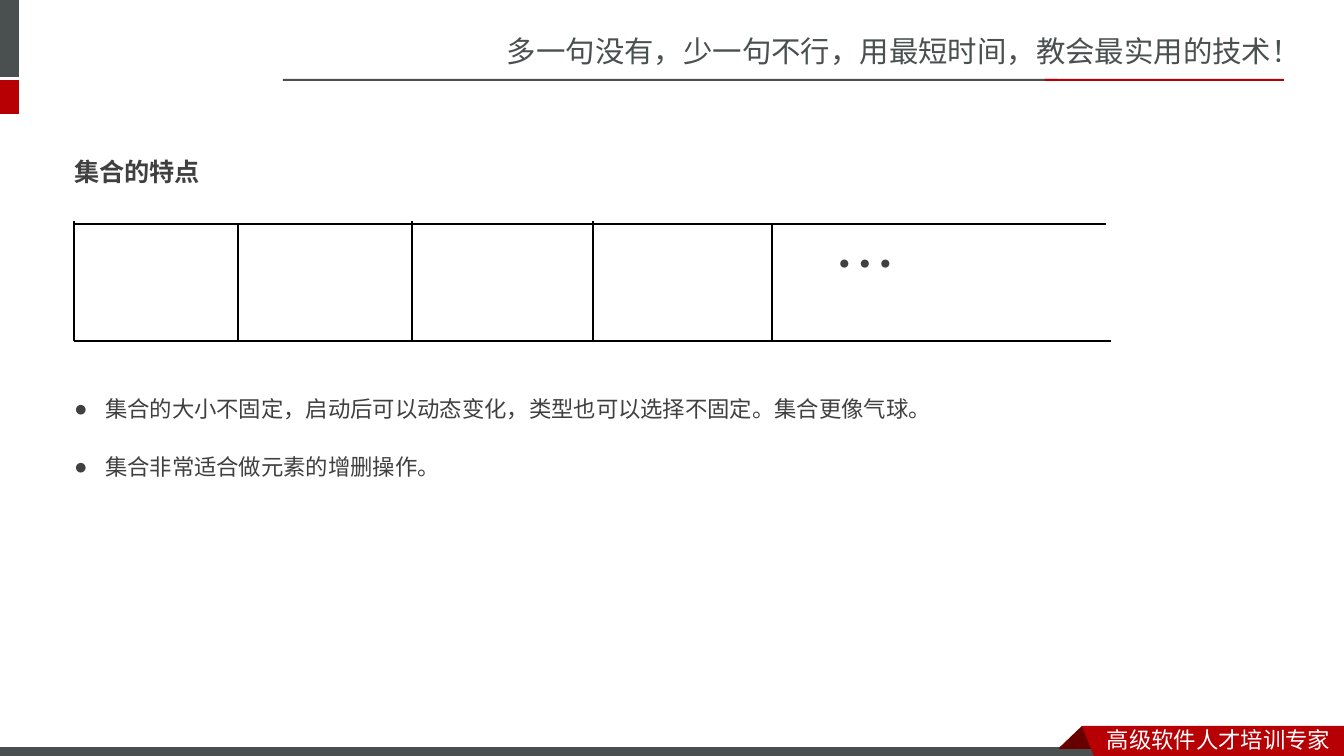
from dataclasses import dataclass
from typing import Optional

from lxml.etree import SubElement
from pptx import Presentation
from pptx.dml.color import RGBColor
from pptx.enum.shapes import MSO_CONNECTOR, MSO_SHAPE
from pptx.enum.text import MSO_ANCHOR, MSO_AUTO_SIZE, PP_ALIGN
from pptx.oxml.ns import qn
from pptx.util import Pt

EMU_PER_PX = 914400 / 100.8
GREY = RGBColor(0x49, 0x50, 0x4F)
RED = RGBColor(0xB6, 0x00, 0x04)
DARK_RED = RGBColor(0x68, 0x00, 0x00)
TEXT = RGBColor(0x40, 0x40, 0x40)
BLACK = RGBColor(0x00, 0x00, 0x00)
WHITE = RGBColor(0xFF, 0xFF, 0xFF)
FRAME_FONT = "Noto Sans CJK SC"
CONTENT_FONT = "Noto Sans CJK JP"


@dataclass
class Box:
    left: int
    top: int
    width: int
    height: int


@dataclass
class Bar:
    box: Box
    color: RGBColor
    outline: Optional[RGBColor] = None


@dataclass
class Polygon:
    points: list[tuple[int, int]]
    color: RGBColor


@dataclass
class Line:
    x1: int
    y1: int
    x2: int
    y2: int


def px(length: int) -> int:
    return round(length * EMU_PER_PX)


def paint(shape, color: RGBColor, outline: Optional[RGBColor] = None) -> None:
    shape.shadow.inherit = False
    shape.fill.solid()
    shape.fill.fore_color.rgb = color
    if outline is None:
        shape.line.fill.background()
    else:
        shape.line.color.rgb = outline
        shape.line.width = Pt(0.75)


def draw_bar(slide, bar: Bar) -> None:
    box = bar.box
    shape = slide.shapes.add_shape(MSO_SHAPE.RECTANGLE, px(box.left), px(box.top),
                                   px(box.width), px(box.height))
    paint(shape, bar.color, bar.outline)


def draw_polygon(slide, polygon: Polygon) -> None:
    builder = slide.shapes.build_freeform(*polygon.points[0], scale=EMU_PER_PX)
    builder.add_line_segments(polygon.points[1:], close=True)
    paint(builder.convert_to_shape(), polygon.color)


def draw_line(slide, line: Line) -> None:
    connector = slide.shapes.add_connector(
        MSO_CONNECTOR.STRAIGHT, px(line.x1), px(line.y1), px(line.x2), px(line.y2))
    connector.line.color.rgb = BLACK
    connector.line.width = Pt(2)
    SubElement(connector._element.spPr, qn("a:effectLst"))


def write_text(paragraph, text: str, *, size: int, font: str = CONTENT_FONT,
               color: RGBColor = TEXT, bold: bool = False, spacing: float = 1.0,
               before: int = 0, bullet: str = "") -> None:
    paragraph.alignment = PP_ALIGN.LEFT
    paragraph.line_spacing = spacing
    paragraph.space_before = Pt(before)
    if bullet:
        properties = paragraph._p.get_or_add_pPr()
        properties.set("marL", str(px(31)))
        properties.set("indent", str(-px(31)))
        SubElement(properties, qn("a:buChar")).set("char", bullet)
    run = paragraph.add_run()
    run.text = text
    run.font.size = Pt(size)
    run.font.name = font
    run.font.bold = bold
    run.font.color.rgb = color
    SubElement(run._r.get_or_add_rPr(), qn("a:ea")).set("typeface", font)


def place(shape, box: Box, wrap: bool = True):
    shape.left, shape.top = px(box.left), px(box.top)
    shape.width, shape.height = px(box.width), px(box.height)
    frame = shape.text_frame
    frame.word_wrap = wrap
    frame.auto_size = MSO_AUTO_SIZE.SHAPE_TO_FIT_TEXT
    frame.vertical_anchor = MSO_ANCHOR.TOP
    return frame


def add_label(slide, box: Box, text: str, *, wrap: bool = True, **text_format) -> None:
    frame = place(slide.shapes.add_textbox(0, 0, 0, 0), box, wrap)
    write_text(frame.paragraphs[0], text, **text_format)


BARS = [
    Bar(Box(-6, 0, 25, 77), GREY),
    Bar(Box(-6, 80, 25, 34), RED),
    Bar(Box(283, 79, 774, 2), GREY),
    Bar(Box(1045, 79, 239, 2), RED),
    Bar(Box(-1, 747, 1109, 12), GREY, WHITE),
]
RIBBON = [
    Polygon([(1082, 726), (1104, 748), (1103, 749), (1060, 749), (1059, 748)], DARK_RED),
    Polygon([(1082, 726), (1344, 726), (1344, 760), (1095, 759)], RED),
]
CELLS_TOP, CELLS_BOTTOM = 224, 341
CELL_EDGES = [74, 238, 412, 593, 772]
RAISED_EDGES = {74, 412, 593}
BULLETS = [
    ("集合的大小不固定，启动后可以动态变化，类型也可以选择不固定。集合更像气球。", 1.5, 0),
    ("集合非常适合做元素的增删操作。", 1.0, 22),
]


def main() -> None:
    presentation = Presentation()
    presentation.slide_width, presentation.slide_height = px(1344), px(756)
    slide = presentation.slides.add_slide(presentation.slide_layouts[1])

    # Header and footer
    for bar in BARS:
        draw_bar(slide, bar)
    for polygon in RIBBON:
        draw_polygon(slide, polygon)
    add_label(slide, Box(497, 28, 847, 47), "多一句没有，少一句不行，用最短时间，教会最实用的技术！",
              size=21, font=FRAME_FONT, color=GREY)
    add_label(slide, Box(1097, 721, 247, 37), "高级软件人才培训专家",
              size=16, font=FRAME_FONT, color=WHITE)

    # Title and list
    title = place(slide.shapes.title, Box(64, 136, 516, 51))
    write_text(title.paragraphs[0], "集合的特点", size=18, bold=True, spacing=1.5)
    body = place(slide.placeholders[1], Box(64, 377, 889, 114))
    for index, (text, spacing, before) in enumerate(BULLETS):
        paragraph = body.add_paragraph() if index else body.paragraphs[0]
        write_text(paragraph, text, size=16, spacing=spacing, before=before, bullet="●")

    # Open-ended row of cells
    draw_line(slide, Line(CELL_EDGES[0], CELLS_TOP, 1106, CELLS_TOP))
    draw_line(slide, Line(CELL_EDGES[0], CELLS_BOTTOM, 1111, CELLS_BOTTOM))
    for edge in CELL_EDGES:
        top = CELLS_TOP - 3 if edge in RAISED_EDGES else CELLS_TOP
        draw_line(slide, Line(edge, top, edge, CELLS_BOTTOM))
    add_label(slide, Box(825, 221, 77, 85), "…", wrap=False, size=44)

    presentation.save("out.pptx")


if __name__ == "__main__":
    main()
